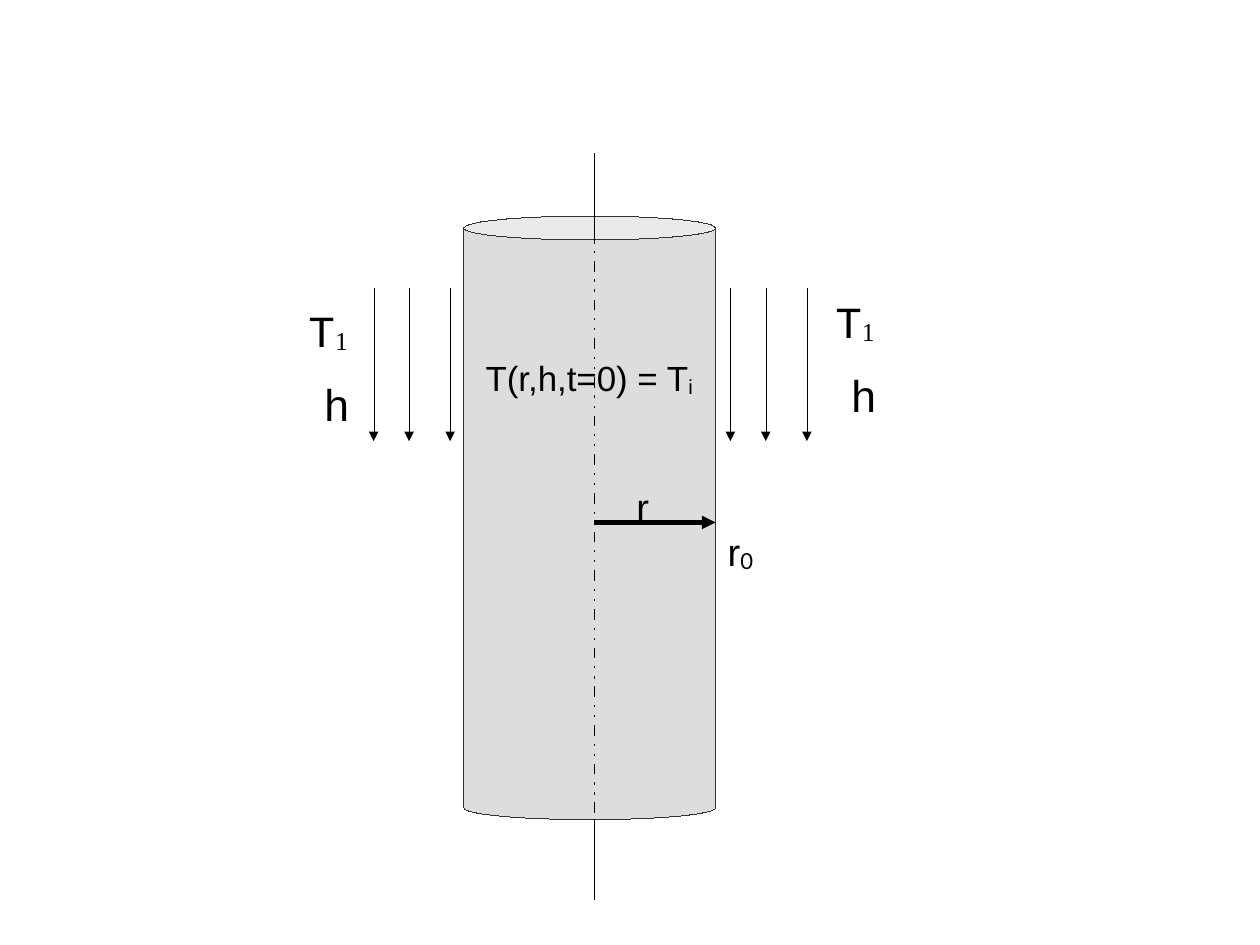
from lxml import etree
from pptx import Presentation
from pptx.dml.color import RGBColor
from pptx.enum.shapes import MSO_CONNECTOR, MSO_SHAPE
from pptx.enum.text import MSO_AUTO_SIZE
from pptx.oxml.ns import qn
from pptx.util import Pt

COLORS = {"body": "DDDDDD", "outline": "333333", "ink": "000000"}
HAIRLINE = 0


def color(name):
    return RGBColor.from_string(COLORS[name])


def remove_theme_style(shape):
    # The theme would otherwise override a hairline width
    shape._element.remove(shape._element.find(qn("p:style")))


def add_line(slide, start, end, width=HAIRLINE, arrow=False, dashed=False):
    line = slide.shapes.add_connector(
        MSO_CONNECTOR.STRAIGHT, *(Pt(value) for value in (*start, *end)))
    remove_theme_style(line)
    line.line.color.rgb = color("ink")
    line.line.width = Pt(width)
    properties = line.line._get_or_add_ln()
    if dashed:
        # Long dash followed by two dots
        pattern = etree.SubElement(properties, qn("a:custDash"))
        for length in (800000, 100000, 100000):
            etree.SubElement(pattern, qn("a:ds"), d=str(length), sp="730000")
    if arrow:
        etree.SubElement(properties, qn("a:tailEnd"), type="triangle")
    etree.SubElement(line._element.spPr, qn("a:effectLst"))


def add_label(slide, box, size, text, font="Arial", subscript="", subscript_font="Arial"):
    label = slide.shapes.add_textbox(*(Pt(value) for value in box))
    frame = label.text_frame
    frame.word_wrap = False
    frame.auto_size = MSO_AUTO_SIZE.SHAPE_TO_FIT_TEXT
    paragraph = frame.paragraphs[0]
    paragraph.font.size = Pt(size)
    paragraph.font.color.rgb = color("ink")
    paragraph.add_run().text = text
    paragraph.runs[0].font.name = font
    if subscript:
        run = paragraph.add_run()
        run.text = subscript
        run.font.name = subscript_font
        run.font._element.set("baseline", "-8000")


def add_cylinder(slide, left, top, width, height):
    # Body
    body = slide.shapes.add_shape(
        MSO_SHAPE.CAN, Pt(left), Pt(top), Pt(width), Pt(height))
    remove_theme_style(body)
    body.adjustments[0] = 0.095
    body.shadow.inherit = False
    body.fill.solid()
    body.fill.fore_color.rgb = color("body")
    body.line.color.rgb = color("outline")
    body.line.width = Pt(HAIRLINE)

    # Axis: solid outside the body, dashed inside
    axis, bottom = left + 82.1, top + height
    add_line(slide, (axis, top - 39.6), (axis, top + 17.3))
    add_line(slide, (axis, top - 20.2), (axis, bottom), dashed=True)
    add_line(slide, (axis, bottom), (axis, bottom + 50.4))

    # Radius
    middle = top + 193
    add_line(slide, (axis, middle), (left + width, middle), width=2.83, arrow=True)
    add_label(slide, (left + width + 0.7, middle, 31, 43.9), 24, "r",
              subscript="0", subscript_font="Lato")
    add_label(slide, (axis + 19.4, middle - 28.1, 22.3, 33.8), 24, "r")


def add_flow(slide, left, top, height, label_left, label_top):
    # Surrounding fluid: labels and downward arrows
    add_label(slide, (label_left, label_top, 49.7, 58.3), 28, "T",
              font="Courier New", subscript="1", subscript_font="Times New Roman")
    add_label(slide, (label_left + 10.1, label_top + 46.8, 29.5, 38.2), 28, "h")
    for offset in (0, 22.3, 48.2):
        add_line(slide, (left + offset, top), (left + offset, top + height), arrow=True)


def main():
    presentation = Presentation()
    presentation.slide_width, presentation.slide_height = Pt(793.75), Pt(595.25)
    slide = presentation.slides.add_slide(presentation.slide_layouts[6])
    add_cylinder(slide, 292.3, 136.1, 158.4, 380.2)
    add_flow(slide, 460.1, 181.4, 96.5, label_left=519.1, label_top=181.4)
    add_flow(slide, 235.4, 181.4, 96.5, label_left=187.2, label_top=187.2)
    # Initial condition
    add_label(slide, (298.8, 221, 144.7, 38.9), 22, "T(r,h,t=0) = T", subscript="i")
    presentation.save("out.pptx")


if __name__ == "__main__":
    main()
